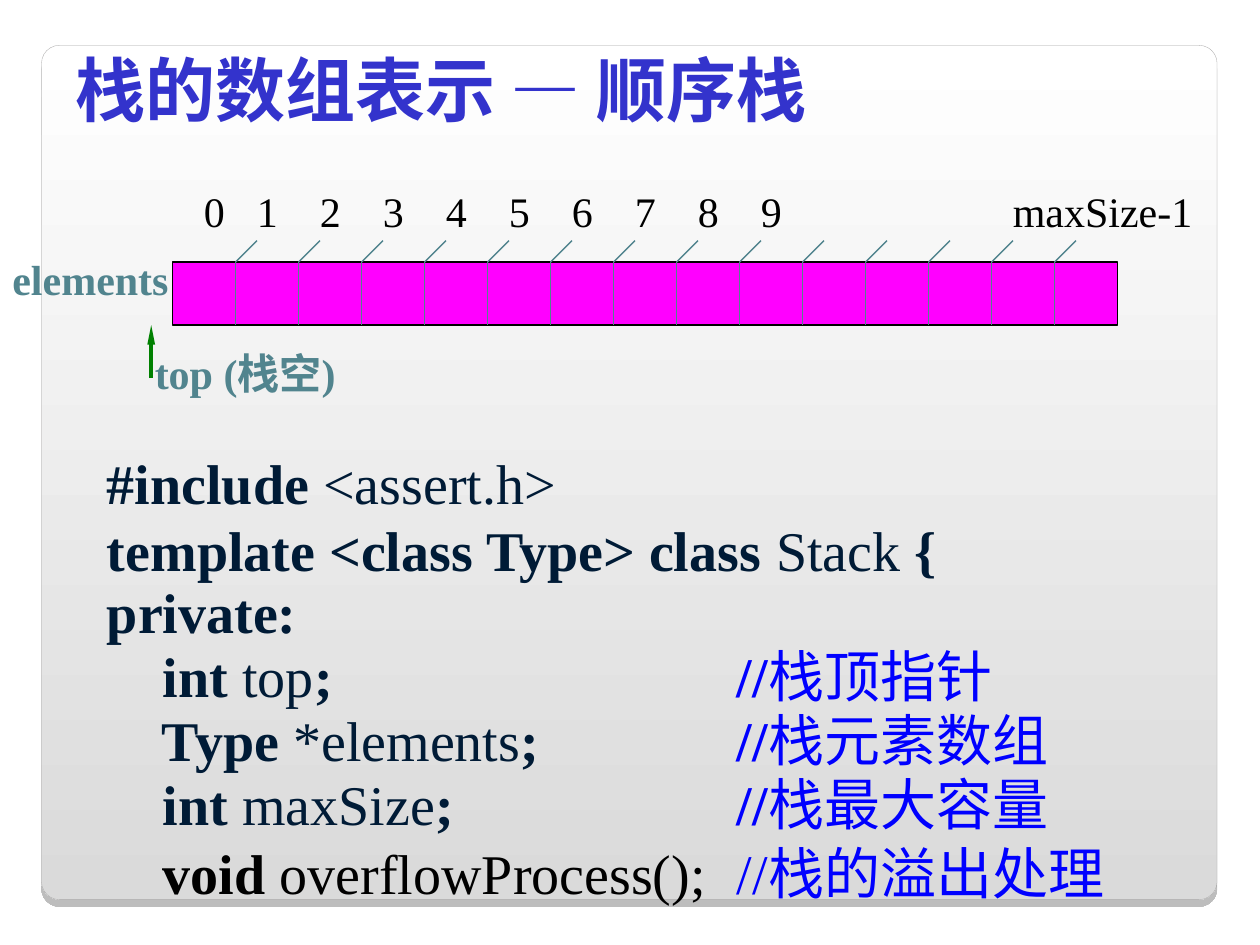
from lxml import etree
from pptx import Presentation
from pptx.dml.color import RGBColor
from pptx.enum.shapes import MSO_CONNECTOR, MSO_SHAPE
from pptx.enum.text import MSO_ANCHOR, MSO_AUTO_SIZE, PP_ALIGN
from pptx.oxml.ns import qn
from pptx.util import Inches, Pt

STRAIGHT = MSO_CONNECTOR.STRAIGHT
RECT, ROUNDED = MSO_SHAPE.RECTANGLE, MSO_SHAPE.ROUNDED_RECTANGLE
FIXED, MIDDLE, CENTER = MSO_AUTO_SIZE.NONE, MSO_ANCHOR.MIDDLE, PP_ALIGN.CENTER

LATIN, CJK = "Times New Roman", "Noto Sans CJK SC"
COLORS = {
    "title": "3333CC", "code": "001B36", "black": "000000", "comment": "0000FF",
    "teal": "51848E", "cell": "FF00FF", "arrow": "008000",
    "panel_top": "FFFFFF", "panel_bottom": "DADADA", "panel_line": "A4A3A3",
}

TITLE = "栈的数组表示 — 顺序栈"
INDEXES = [str(i) for i in range(10)] + ["maxSize-1"]
CODE = [
    (1, [("#include", "code", True), (" <assert.h>", "code", False)]),
    (1, [("template <class Type> class", "code", True), (" Stack", "code", False),
         (" {", "code", True)]),
    (0.95, [("private:", "code", True)]),
    (0.95, [("    int ", "code", True), ("top", "code", False), (";\t", "code", True),
            ("//", "comment", True), ("栈顶指针", "comment", False)]),
    (0.95, [("    Type ", "code", True), ("*elements", "code", False), (";\t", "code", True),
            ("//", "comment", True), ("栈元素数组", "comment", False)]),
    (0.95, [("    int", "code", True), (" maxSize", "code", False), (";\t", "code", True),
            ("//", "comment", True), ("栈最大容量", "comment", False)]),
    (1, [("    void ", "black", True), ("overflowProcess();\t", "black", False),
         ("//", "comment", False), ("栈的溢出处理", "comment", False)]),
]

ARRAY_X, ARRAY_Y, CELL, CELLS = 1.37, 2.08, 0.5, 15
TICK = 0.17
INDEX_TABS = [0.42 + CELL * i for i in range(9)] + [6.42]
COMMENT_TABS = [5]


def rgb(name):
    return RGBColor.from_string(COLORS[name])


def add_tabs(p, stops):
    tabs = etree.SubElement(p._p.get_or_add_pPr(), qn("a:tabLst"))
    for stop in stops:
        etree.SubElement(tabs, qn("a:tab"), pos=str(Inches(stop)), algn="l")


def add_run(p, text, size, color, bold):
    r = p.add_run()
    r.text = text
    r.font.size = Pt(size)
    r.font.name = LATIN
    r.font.bold = bold
    r.font.color.rgb = rgb(color)
    latin = r.font._element.find(qn("a:latin"))
    latin.addnext(etree.Element(qn("a:ea"), typeface=CJK))


def add_text(shapes, box, lines, size, tabs=()):
    sp = shapes.add_textbox(*map(Inches, box))
    tf = sp.text_frame
    tf.word_wrap = True
    tf.auto_size = FIXED
    for i, (spacing, runs) in enumerate(lines):
        p = tf.add_paragraph() if i else tf.paragraphs[0]
        if spacing != 1:
            p.line_spacing = spacing
        if tabs:
            add_tabs(p, tabs)
        for text, color, bold in runs:
            add_run(p, text, size, color, bold)
    return tf


def add_line(shapes, x1, y1, x2, y2, color="teal", width=0.75, arrow=False):
    c = shapes.add_connector(STRAIGHT, *map(Inches, (x1, y1, x2, y2)))
    c.line.color.rgb = rgb(color)
    c.line.width = Pt(width)
    sppr = c._element.spPr
    if arrow:
        etree.SubElement(sppr.find(qn("a:ln")), qn("a:tailEnd"),
                         type="triangle", w="sm", len="lg")
    etree.SubElement(sppr, qn("a:effectLst"))


def add_panel(shapes):
    sp = shapes.add_shape(ROUNDED, *map(Inches, (0.33, 0.36, 9.33, 6.78)))
    sp.adjustments[0] = 0.021
    sp.fill.gradient()
    sp.fill.gradient_angle = 270
    for stop, position, color in zip(sp.fill.gradient_stops, (0, 1), ("panel_top", "panel_bottom")):
        stop.position = position
        stop.color.rgb = rgb(color)
    sp.line.color.rgb = rgb("panel_line")
    sp.line.width = Pt(0.17)
    sp.shadow.inherit = False
    effects = sp._element.spPr.find(qn("a:effectLst"))
    shadow = etree.SubElement(effects, qn("a:outerShdw"), blurRad="0", dist=str(Pt(4)),
                              dir="5400000", algn="t", rotWithShape="0")
    shade = etree.SubElement(shadow, qn("a:srgbClr"), val=COLORS["black"])
    etree.SubElement(shade, qn("a:alpha"), val="25000")


def add_array(shapes):
    sp = shapes.add_shape(RECT, *map(Inches, (ARRAY_X, ARRAY_Y, CELL * CELLS, CELL)))
    sp.fill.solid()
    sp.fill.fore_color.rgb = rgb("cell")
    sp.line.color.rgb = rgb("black")
    sp.line.width = Pt(0.75)
    sp.shadow.inherit = False
    for i in range(1, CELLS):
        x = ARRAY_X + CELL * i
        add_line(shapes, x, ARRAY_Y, x, ARRAY_Y + CELL)
        add_line(shapes, x, ARRAY_Y, x + TICK, ARRAY_Y - TICK)
    add_line(shapes, 1.2, 3, 1.2, ARRAY_Y + CELL, "arrow", 2.25, arrow=True)


def add_labels(shapes):
    add_text(shapes, (1.52, 1.42, 8.2, 0.5), [(1, [("\t".join(INDEXES), "black", False)])],
             24, INDEX_TABS)
    add_text(shapes, (1.13, 2.71, 1.95, 0.5), [(1, [("top (栈空)", "teal", True)])], 24)
    add_text(shapes, (0, 1.96, 1.5, 0.5), [(1, [("elements", "teal", True)])], 24)


def main():
    prs = Presentation()
    prs.slide_width, prs.slide_height = Inches(10), Inches(7.5)
    s = prs.slides.add_slide(prs.slide_layouts[6])
    add_panel(s.shapes)
    tf = add_text(s.shapes, (0.25, 0.33, 6.5, 0.75), [(1, [(TITLE, "title", True)])], 40)
    tf.vertical_anchor = MIDDLE
    tf.paragraphs[0].alignment = CENTER
    add_text(s.shapes, (0.75, 3.51, 8.42, 3.73), CODE, 32, COMMENT_TABS)
    add_array(s.shapes.add_group_shape().shapes)
    add_labels(s.shapes)
    prs.save("out.pptx")


if __name__ == "__main__":
    main()
